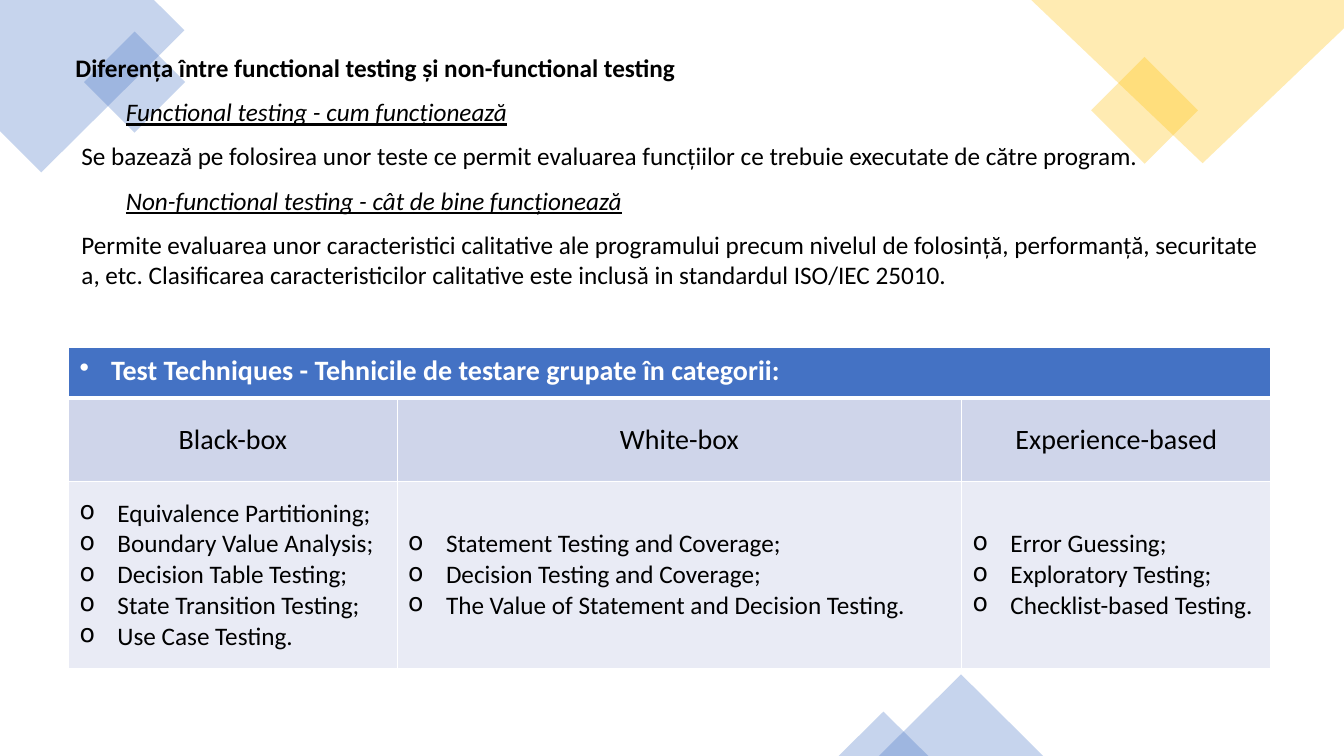
from dataclasses import dataclass

from lxml import etree
from pptx import Presentation
from pptx.dml import color
from pptx.enum import shapes, text
from pptx.oxml import ns
from pptx.util import Pt

FONT = "Calibri"
BLUE, GOLD, WHITE, BLACK = "4472C4", "FFC000", "FFFFFF", "000000"
CATEGORY_FILL, TECHNIQUE_FILL = "CFD5EA", "E9EBF5"
NBSP = chr(160)


@dataclass
class Corner:
    points: list[tuple[float, float]]
    fill: str


@dataclass
class Accent:
    kind: shapes.MSO_SHAPE
    left: float
    top: float
    width: float
    height: float
    fill: str
    rotation: float = 0


@dataclass
class Passage:
    wording: str
    indent: float = 0
    level: int = 0
    bold: bool = False
    emphasis: bool = False


@dataclass
class Category:
    name: str
    width: float
    techniques: list[str]


CORNERS = [
    Corner([(110, 0), (0, 0), (0, 93.6), (29.5, 123.1), (131.8, 21.6)], BLUE),
    Corner([(960, 0), (736.6, 0), (859, 116.6), (960, 20.2)], GOLD),
]
ACCENTS = [
    Accent(shapes.MSO_SHAPE.RECTANGLE, 70.6, 33.1, 51.1, 51.1, BLUE, 315),
    Accent(shapes.MSO_SHAPE.RECTANGLE, 790.6, 51.8, 54, 54, GOLD, 315),
    Accent(shapes.MSO_SHAPE.ISOSCELES_TRIANGLE, 627.8, 481.7, 117.4, 58.3, BLUE),
    Accent(shapes.MSO_SHAPE.ISOSCELES_TRIANGLE, 599, 508.3, 64.1, 31.7, BLUE),
]
QUALITY = (
    "Permite evaluarea unor caracteristici calitative ale programului precum nivelul de "
    "folosință, performanță, securitatea, etc. Clasificarea caracteristicilor calitative "
    "este inclusă in standardul"
).replace(" ", NBSP) + " ISO/IEC 25010."
PASSAGES = [
    Passage("Diferența între functional testing și non-functional testing", bold=True),
    Passage("Functional testing - cum funcționează", 36, 1, emphasis=True),
    Passage("Se bazează pe folosirea unor teste ce permit evaluarea funcțiilor ce trebuie "
            "executate de către program.", 4.3),
    Passage("Non-functional testing - cât de bine funcționează", 36, 1, emphasis=True),
    Passage(QUALITY, 4.3),
]
TABLE_TITLE = "Test Techniques - Tehnicile de testare grupate în categorii:"
CATEGORIES = [
    Category("Black-box", 234.7, [
        "Equivalence Partitioning;", "Boundary Value Analysis;", "Decision Table Testing;",
        "State Transition Testing;", "Use Case Testing."]),
    Category("White-box", 403.2, [
        "Statement Testing and Coverage;", "Decision Testing and Coverage;",
        "The Value of Statement and Decision Testing."]),
    Category("Experience-based", 221, [
        "Error Guessing;", "Exploratory Testing;", "Checklist-based Testing."]),
]
ROW_HEIGHTS = [36, 59.8, 133.2]


def rgb(value: str) -> color.RGBColor:
    return color.RGBColor.from_string(value)


def paint(fill, value: str) -> None:
    fill.solid()
    fill.fore_color.rgb = rgb(value)


def style_decoration(shape, value: str) -> None:
    shape.shadow.inherit = False
    paint(shape.fill, value)
    shape.line.fill.background()
    tint = next(shape.element.iter(ns.qn("a:srgbClr")))
    etree.SubElement(tint, ns.qn("a:alpha"), val="30000")


def draw_corner(slide, corner: Corner) -> None:
    start, *rest = [(Pt(x), Pt(y)) for x, y in corner.points]
    outline = slide.shapes.build_freeform(*start)
    outline.add_line_segments(rest, close=True)
    style_decoration(outline.convert_to_shape(), corner.fill)


def draw_accent(slide, accent: Accent) -> None:
    shape = slide.shapes.add_shape(accent.kind, Pt(accent.left), Pt(accent.top),
                                   Pt(accent.width), Pt(accent.height))
    shape.rotation = accent.rotation
    style_decoration(shape, accent.fill)


def style_font(font, size: float, value: str = BLACK, bold: bool = False) -> None:
    font.name, font.size, font.bold = FONT, Pt(size), bold
    font.color.rgb = rgb(value)


def set_indent(paragraph, left: float, first: float = 0) -> None:
    properties = paragraph._p.get_or_add_pPr()
    properties.set("marL", str(Pt(left)))
    properties.set("indent", str(Pt(first)))


def add_bullet(paragraph, mark: str, indent: float, value: str = BLACK) -> None:
    set_indent(paragraph, indent, -indent)
    properties = paragraph._p.get_or_add_pPr()
    tint = etree.SubElement(properties, ns.qn("a:buClr"))
    etree.SubElement(tint, ns.qn("a:srgbClr"), val=value)
    etree.SubElement(properties, ns.qn("a:buChar"), char=mark)


def draw_passages(slide) -> None:
    explanation = slide.shapes.add_textbox(Pt(46.8), Pt(33.8), Pt(866.2), Pt(178.6))
    frame = explanation.text_frame
    frame.word_wrap = True
    frame.auto_size = text.MSO_AUTO_SIZE.SHAPE_TO_FIT_TEXT
    frame.text = "\n".join(passage.wording for passage in PASSAGES)
    for paragraph, passage in zip(frame.paragraphs, PASSAGES):
        paragraph.level = passage.level
        paragraph.space_before = Pt(10)
        set_indent(paragraph, passage.indent)
        font = paragraph.runs[0].font
        style_font(font, 18, bold=passage.bold)
        font.italic = font.underline = passage.emphasis


def add_borders(cell, widths: dict[str, float]) -> None:
    properties = cell._tc.get_or_add_tcPr()
    for position, (side, width) in enumerate(widths.items()):
        border = etree.Element(ns.qn(f"a:ln{side}"), w=str(Pt(width)))
        fill = etree.SubElement(border, ns.qn("a:solidFill"))
        etree.SubElement(fill, ns.qn("a:srgbClr"), val=WHITE)
        properties.insert(position, border)


def fill_cell(cell, wording: str, size: float, fill: str, value: str = BLACK,
              bold: bool = False) -> None:
    cell.text_frame.text = wording
    cell.vertical_anchor = text.MSO_ANCHOR.MIDDLE
    for paragraph in cell.text_frame.paragraphs:
        style_font(paragraph.runs[0].font, size, value, bold)
    paint(cell.fill, fill)


def draw_techniques(slide) -> None:
    width = sum(category.width for category in CATEGORIES)
    table = slide.shapes.add_table(len(ROW_HEIGHTS), len(CATEGORIES), Pt(49), Pt(248.4),
                                   Pt(width), Pt(sum(ROW_HEIGHTS))).table
    for row, height in zip(table.rows, ROW_HEIGHTS):
        row.height = Pt(height)
    for index, category in enumerate(CATEGORIES):
        table.columns[index].width = Pt(category.width)
        name, techniques = table.cell(1, index), table.cell(2, index)
        fill_cell(name, category.name, 20, CATEGORY_FILL)
        name.text_frame.paragraphs[0].alignment = text.PP_ALIGN.CENTER
        fill_cell(techniques, "\n".join(category.techniques), 18, TECHNIQUE_FILL)
        for paragraph in techniques.text_frame.paragraphs:
            add_bullet(paragraph, "o", 27)

    title = table.cell(0, 0)
    title.merge(table.cell(0, len(CATEGORIES) - 1))
    fill_cell(title, TABLE_TITLE, 20, BLUE, WHITE, True)
    title.vertical_anchor = text.MSO_ANCHOR.TOP
    heading = title.text_frame.paragraphs[0]
    heading.space_before = Pt(1)
    add_bullet(heading, "•", 22.5, WHITE)

    for row in range(len(ROW_HEIGHTS)):
        for column in range(len(CATEGORIES)):
            cell = table.cell(row, column)
            cell.margin_left = cell.margin_right = Pt(7.9)
            cell.margin_top = cell.margin_bottom = Pt(4.3)
            add_borders(cell, {"L": 1, "R": 1, "T": 3 if row == 1 else 1,
                               "B": 3 if row == 0 else 1})


def main() -> None:
    deck = Presentation()
    deck.slide_width, deck.slide_height = Pt(960), Pt(540)
    slide = deck.slides.add_slide(deck.slide_layouts[6])
    draw_corner(slide, CORNERS[0])
    for accent in ACCENTS[:2]:
        draw_accent(slide, accent)
    draw_corner(slide, CORNERS[1])
    for accent in ACCENTS[2:]:
        draw_accent(slide, accent)
    draw_techniques(slide)
    draw_passages(slide)
    deck.save("out.pptx")


if __name__ == "__main__":
    main()
